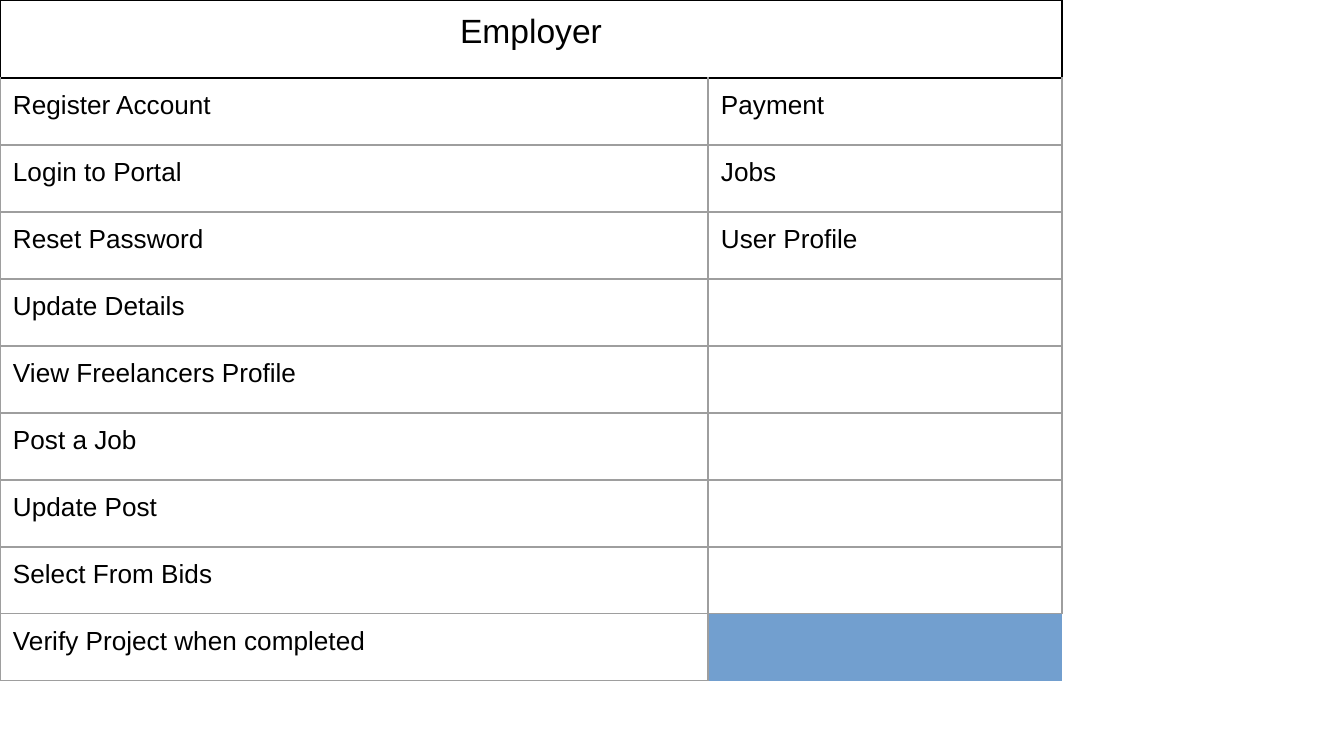
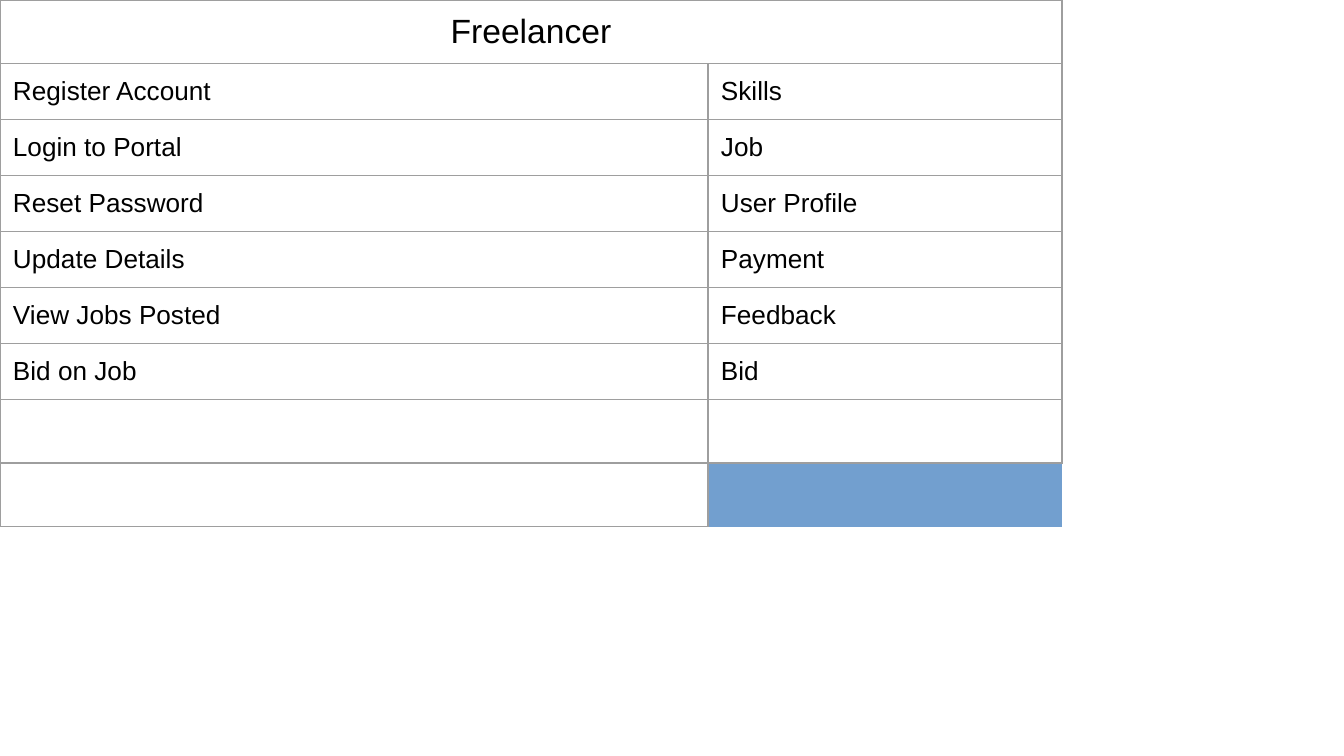
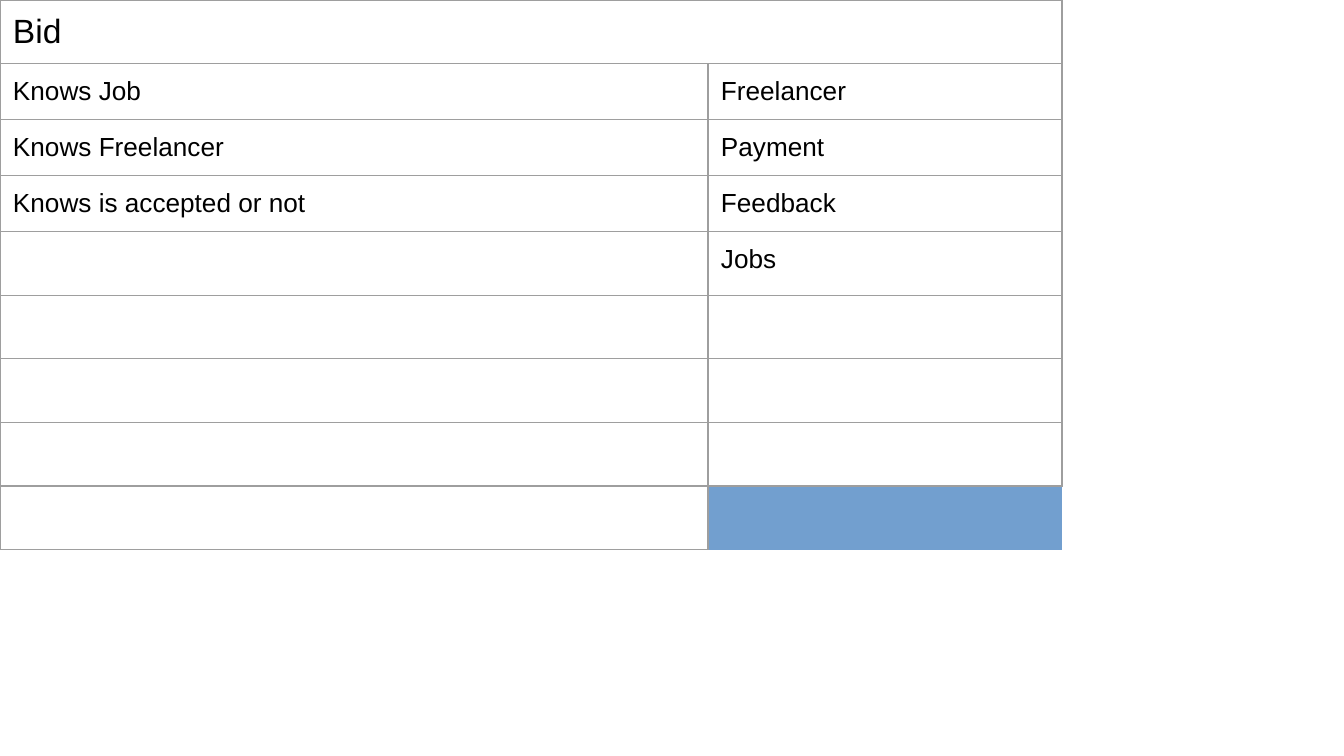
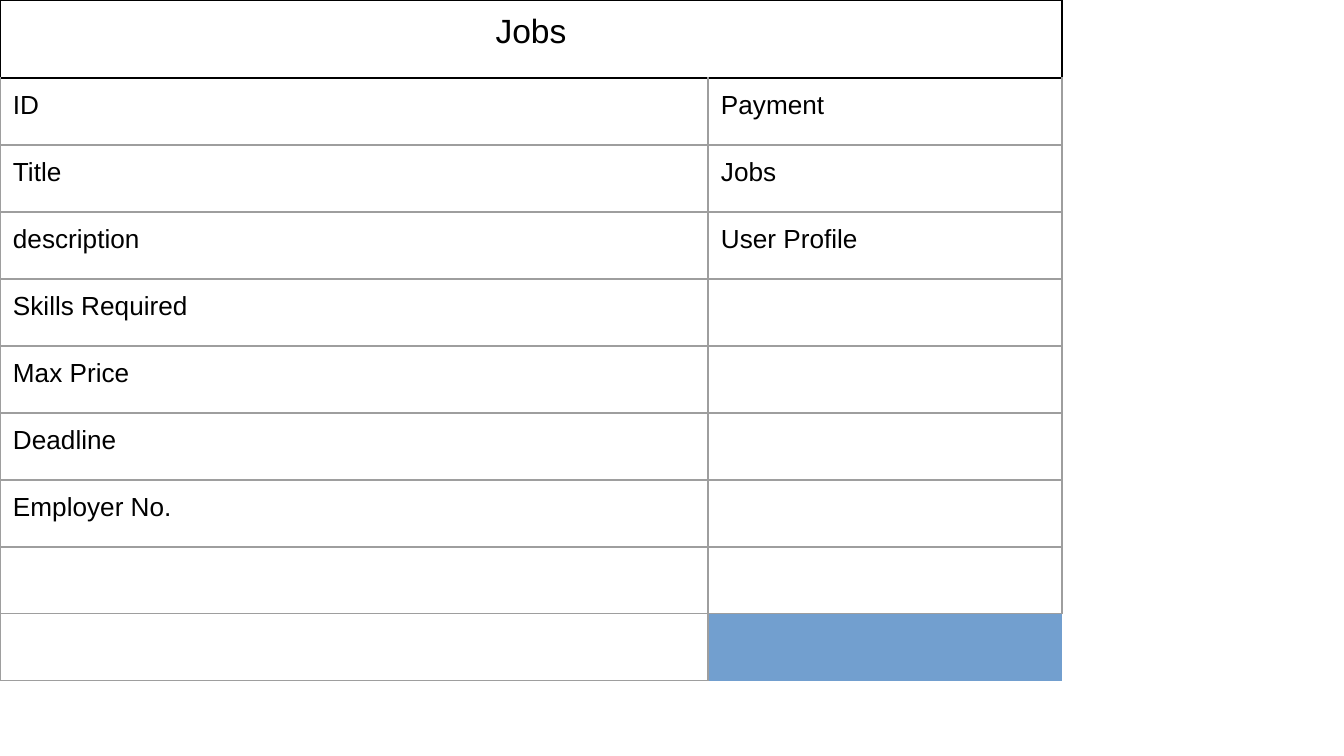
from pptx import Presentation
from pptx.dml.color import RGBColor
from pptx.enum.text import PP_ALIGN as Align
from pptx.oxml.ns import qn
from pptx.util import Pt
from lxml.etree import SubElement

SCALE = 914400 / 134.4  # EMU per pixel
COLORS = {"ink": "000000", "grid": "9E9E9E", "accent": "729FCF"}
FONT = "Arial"
COLUMNS, SPLIT = 9, 6  # the left part of each row spans six of nine columns
COLUMN_WIDTH, LEFT, INSET = 118, 140, 13
TALL = {"top": 32, "header": 78, "row": 67, "header_line": "ink"}
COMPACT = {"top": 126, "header": 56, "row": 56, "header_line": "grid"}

CARDS = [
    {"title": "Employer", "align": Align.CENTER, "style": TALL, "rows": 9,
     "left": ["Register Account", "Login to Portal", "Reset Password",
              "Update Details", "View Freelancers Profile", "Post a Job",
              "Update Post", "Select From Bids", "Verify Project when completed"],
     "right": ["Payment", "Jobs", "User Profile"]},
    {"title": "Freelancer", "align": Align.CENTER, "style": COMPACT, "rows": 8,
     "left": ["Register Account", "Login to Portal", "Reset Password",
              "Update Details", "View Jobs Posted", "Bid on Job"],
     "right": ["Skills", "Job", "User Profile", "Payment", "Feedback", "Bid"]},
    {"title": "Bid", "align": Align.LEFT, "style": COMPACT, "rows": 8,
     "left": ["Knows Job", "Knows Freelancer", "Knows is accepted or not"],
     "right": ["Freelancer", "Payment", "Feedback", "Jobs"]},
    {"title": "Jobs", "align": Align.CENTER, "style": TALL, "rows": 9,
     "left": ["ID", "Title", "description", "Skills Required", "Max Price",
              "Deadline", "Employer No."],
     "right": ["Payment", "Jobs", "User Profile"]},
]


def px(pixels):
    return round(pixels * SCALE)


def write(cell, text, size, align=Align.LEFT):
    para = cell.text_frame.paragraphs[0]
    para.alignment = align
    span = para.add_run()
    span.text = text
    for name, value in {"size": Pt(size), "name": FONT}.items():
        setattr(span.font, name, value)
    span.font.color.rgb = RGBColor.from_string(COLORS["ink"])


deck = Presentation()
deck.slide_width, deck.slide_height = px(1344), px(756)

for card in CARDS:
    page = deck.slides.add_slide(deck.slide_layouts[6])
    style = card["style"]
    heights = [style["header"]] + [style["row"]] * card["rows"]
    frame = page.shapes.add_table(
        len(heights), COLUMNS, px(LEFT), px(style["top"]),
        px(COLUMN_WIDTH * COLUMNS), px(sum(heights)))
    table = frame.table
    table.first_row = table.horz_banding = False
    for row, height in zip(table.rows, heights):
        row.height = px(height)

    # Insets, borders, fill and the text size of empty cells
    for index, row in enumerate(table.rows):
        for cell in row.cells:
            for side in ("left", "top", "right", "bottom"):
                setattr(cell, "margin_" + side, px(INSET))
            properties = cell._tc.get_or_add_tcPr()
            for edge in ("lnL", "lnR", "lnT", "lnB"):
                on_header = index == 0 or (index == 1 and edge == "lnT")
                color = COLORS[style["header_line"] if on_header else "grid"]
                line = SubElement(properties, qn("a:" + edge), w=str(Pt(0.75)))
                fill = SubElement(line, qn("a:solidFill"))
                SubElement(fill, qn("a:srgbClr"), val=color)
            cell.fill.background()
            end = SubElement(cell.text_frame.paragraphs[0]._p,
                             qn("a:endParaRPr"), sz="1800")
            SubElement(end, qn("a:latin"), typeface=FONT)

    # Header across the table, then two merged parts in each row
    table.cell(0, 0).merge(table.cell(0, COLUMNS - 1))
    write(table.cell(0, 0), card["title"], 18, card["align"])
    for index in range(1, len(heights)):
        table.cell(index, 0).merge(table.cell(index, SPLIT - 1))
        table.cell(index, SPLIT).merge(table.cell(index, COLUMNS - 1))
    for column, entries in ((0, card["left"]), (SPLIT, card["right"])):
        for index, entry in enumerate(entries, 1):
            write(table.cell(index, column), entry, 14)

    # Coloured corner
    corner = table.cell(card["rows"], SPLIT)
    corner.fill.solid()
    corner.fill.fore_color.rgb = RGBColor.from_string(COLORS["accent"])

deck.save("out.pptx")
